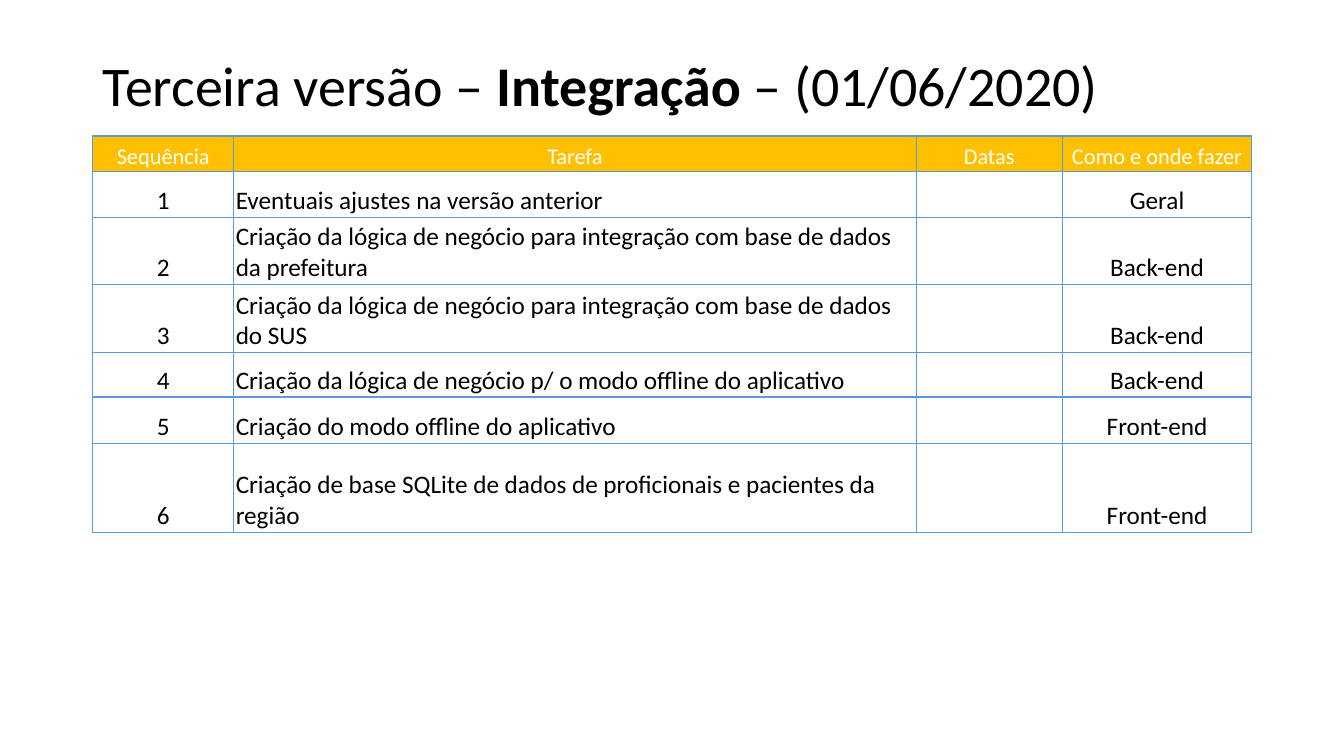
from dataclasses import dataclass

from lxml.etree import SubElement
from pptx import Presentation
from pptx.dml.color import RGBColor
from pptx.enum.text import MSO_ANCHOR, MSO_AUTO_SIZE, PP_ALIGN
from pptx.oxml.ns import qn
from pptx.slide import Slide
from pptx.table import _Cell
from pptx.text.text import _Paragraph
from pptx.util import Pt

BLACK = RGBColor(0x00, 0x00, 0x00)
WHITE = RGBColor(0xFF, 0xFF, 0xFF)
AMBER = RGBColor(0xFF, 0xC0, 0x00)
BLUE = RGBColor(0x5B, 0x9B, 0xD5)
FONT = "Calibri"

LEFT, WIDTH = 66.2, 828
TITLE_TOP, TITLE_HEIGHT = 28.8, 68.4
TABLE_TOP = 97.2
COLUMN_WIDTHS = (100.8, 487.4, 104.4, 135.4)
HEADER_HEIGHT = 25.2
HEADINGS = ("Sequência", "Tarefa", "Datas", "Como e onde fazer")
TASK_COLUMN = HEADINGS.index("Tarefa")


@dataclass(frozen=True)
class Task:
    description: str
    area: str
    height: float
    dates: str = ""


@dataclass(frozen=True)
class CellStyle:
    size: float
    color: RGBColor
    side_inset: float
    fill: RGBColor | None = None


HEADER_STYLE = CellStyle(16, WHITE, 0.72, AMBER)
BODY_STYLE = CellStyle(18, BLACK, 1.44)

TASKS = (
    Task("Eventuais ajustes na versão anterior", "Geral", 33.1),
    Task("Criação da lógica de negócio para integração com base de dados da prefeitura",
         "Back-end", 47.5),
    Task("Criação da lógica de negócio para integração com base de dados do SUS",
         "Back-end", 49),
    Task("Criação da lógica de negócio p/ o modo offline do aplicativo", "Back-end", 31.7),
    Task("Criação do modo offline do aplicativo", "Front-end", 33.1),
    Task("Criação de base SQLite de dados de proficionais e pacientes da região",
         "Front-end", 63.4),
)


def add_run(paragraph: _Paragraph, text: str, size: float, color: RGBColor,
            bold: bool = False) -> None:
    run = paragraph.add_run()
    run.text = text
    run.font.name = FONT
    run.font.size = Pt(size)
    run.font.bold = bold
    run.font.color.rgb = color


def add_borders(cell: _Cell) -> None:
    properties = cell._tc.get_or_add_tcPr()
    for side in ("a:lnL", "a:lnR", "a:lnT", "a:lnB"):
        border = SubElement(properties, qn(side), w=str(Pt(1)))
        fill = SubElement(border, qn("a:solidFill"))
        SubElement(fill, qn("a:srgbClr"), val=str(BLUE))


def fill_cell(cell: _Cell, text: str, style: CellStyle, alignment: PP_ALIGN) -> None:
    add_borders(cell)
    if style.fill is None:
        cell.fill.background()
    else:
        cell.fill.solid()
        cell.fill.fore_color.rgb = style.fill
    cell.vertical_anchor = MSO_ANCHOR.BOTTOM
    cell.margin_left = cell.margin_right = Pt(style.side_inset)
    cell.margin_top = cell.margin_bottom = Pt(0.72)
    paragraph = cell.text_frame.paragraphs[0]
    paragraph.alignment = alignment
    if text:
        add_run(paragraph, text, style.size, style.color)


def add_title(slide: Slide) -> None:
    title = slide.shapes.title
    title.left, title.top = Pt(LEFT), Pt(TITLE_TOP)
    title.width, title.height = Pt(WIDTH), Pt(TITLE_HEIGHT)
    frame = title.text_frame
    frame.auto_size = MSO_AUTO_SIZE.NONE
    frame.word_wrap = True
    frame.vertical_anchor = MSO_ANCHOR.MIDDLE
    paragraph = frame.paragraphs[0]
    paragraph.alignment = PP_ALIGN.LEFT
    paragraph.line_spacing = 0.9
    add_run(paragraph, "Terceira versão – ", 40, BLACK)
    add_run(paragraph, "Integração ", 40, BLACK, bold=True)
    add_run(paragraph, "– (01/06/2020)", 40, BLACK)


def add_schedule(slide: Slide) -> None:
    rows = [HEADINGS] + [
        (str(number), task.description, task.dates, task.area)
        for number, task in enumerate(TASKS, start=1)
    ]
    heights = [HEADER_HEIGHT] + [task.height for task in TASKS]
    schedule = slide.shapes.add_table(
        len(rows), len(HEADINGS), Pt(LEFT), Pt(TABLE_TOP), Pt(WIDTH), Pt(sum(heights))
    ).table
    schedule.first_row = schedule.horz_banding = False
    for column, width in zip(schedule.columns, COLUMN_WIDTHS):
        column.width = Pt(width)
    for row_index, (texts, height) in enumerate(zip(rows, heights)):
        schedule.rows[row_index].height = Pt(height)
        style = BODY_STYLE if row_index else HEADER_STYLE
        for column_index, text in enumerate(texts):
            is_description = row_index > 0 and column_index == TASK_COLUMN
            alignment = PP_ALIGN.LEFT if is_description else PP_ALIGN.CENTER
            fill_cell(schedule.cell(row_index, column_index), text, style, alignment)


def main() -> None:
    presentation = Presentation()
    presentation.slide_width, presentation.slide_height = Pt(960), Pt(540)
    slide = presentation.slides.add_slide(presentation.slide_layouts.get_by_name("Title Only"))
    add_title(slide)
    add_schedule(slide)
    presentation.save("out.pptx")


if __name__ == "__main__":
    main()
